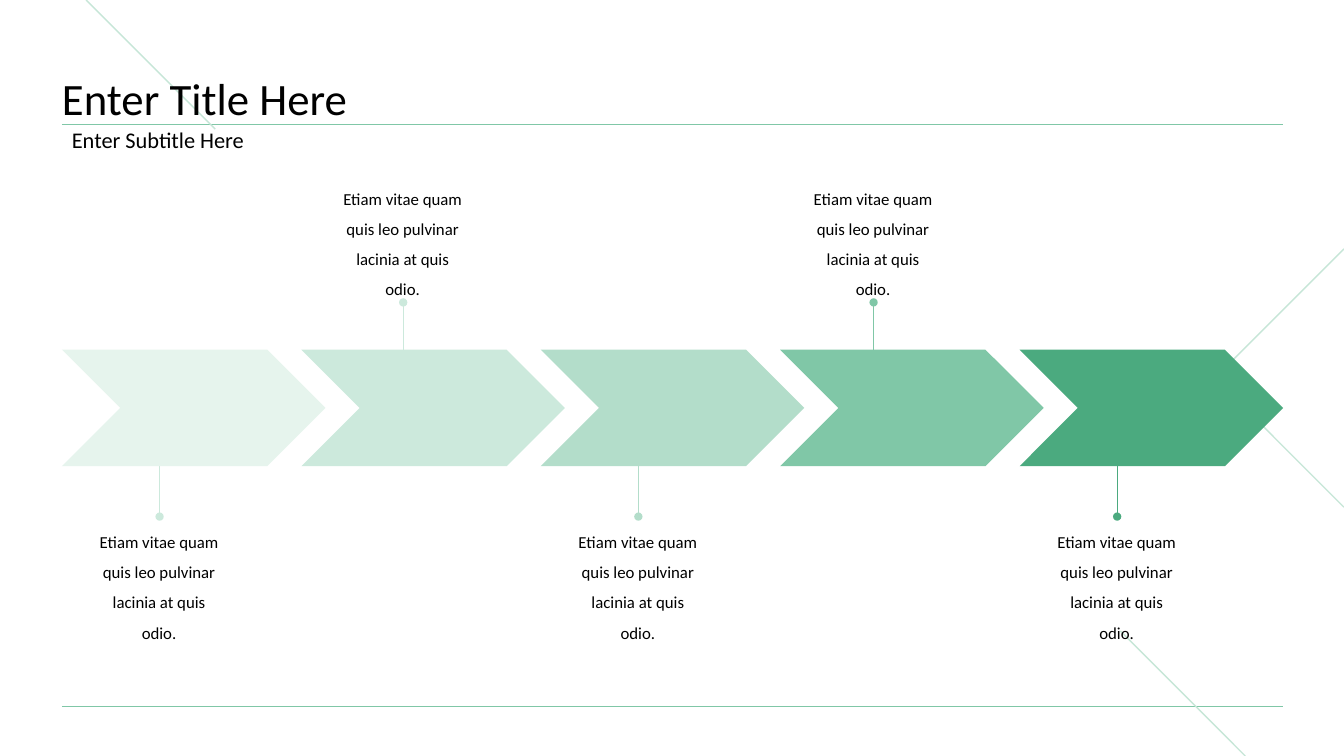
from lxml import etree
from pptx import Presentation
from pptx.dml.color import RGBColor
from pptx.enum.shapes import MSO_CONNECTOR, MSO_SHAPE
from pptx.enum.text import MSO_ANCHOR, MSO_AUTO_SIZE, PP_ALIGN
from pptx.oxml.ns import qn
from pptx.util import Emu, Pt

STRAIGHT = MSO_CONNECTOR.STRAIGHT
CHEVRON = MSO_SHAPE.CHEVRON
TOP, MIDDLE, BOTTOM = MSO_ANCHOR.TOP, MSO_ANCHOR.MIDDLE, MSO_ANCHOR.BOTTOM
GROW = MSO_AUTO_SIZE.SHAPE_TO_FIT_TEXT
LEFT, CENTER = PP_ALIGN.LEFT, PP_ALIGN.CENTER

BLACK = RGBColor(0x00, 0x00, 0x00)
PALE = RGBColor(0xE6, 0xF4, 0xED)
MINT = RGBColor(0xCC, 0xE9, 0xDC)
SAGE = RGBColor(0xB3, 0xDD, 0xCA)
GREEN = RGBColor(0x80, 0xC7, 0xA7)
DEEP = RGBColor(0x4B, 0xAA, 0x7F)
ACCENT = RGBColor(0xC6, 0xE6, 0xD7)

FONT = "Calibri"
PX = 9525
WIDTH, HEIGHT = 1280, 720
MARGIN, RIGHT = 59, 1222
STEP_PITCH, STEP_W, STEP_TOP, STEP_H = 228, 251, 333, 111
NOTE_W, NOTE_H = 133, 123
NOTE = "Etiam vitae quam quis leo pulvinar lacinia at quis odio."

STEPS = [
    (PALE, MINT, 152),
    (MINT, MINT, 384),
    (SAGE, SAGE, 608),
    (GREEN, GREEN, 832),
    (DEEP, DEEP, 1064),
]


def px(*values):
    return [Emu(v * PX) for v in values]


class Deck:
    def __init__(self):
        self.prs = Presentation()
        self.prs.slide_width, self.prs.slide_height = px(WIDTH, HEIGHT)
        self.s = self.prs.slides.add_slide(self.prs.slide_layouts[6])

    def line(self, x1, y1, x2, y2, color, width=0.5, dots=False):
        c = self.s.shapes.add_connector(STRAIGHT, *px(x1, y1, x2, y2))
        c.line.color.rgb = color
        c.line.width = Pt(width)
        if dots:
            ln = c.line._get_or_add_ln()
            for end in ("a:headEnd", "a:tailEnd"):
                etree.SubElement(ln, qn(end), type="oval")
        etree.SubElement(c._element.spPr, qn("a:effectLst"))

    def polyline(self, points, color, width):
        fb = self.s.shapes.build_freeform(*points[0], scale=PX)
        fb.add_line_segments(points[1:], close=False)
        sp = fb.convert_to_shape()
        sp.shadow.inherit = False
        sp.fill.background()
        sp.line.color.rgb = color
        sp.line.width = Pt(width)

    def chevron(self, x, y, w, h, color):
        sp = self.s.shapes.add_shape(CHEVRON, *px(x, y, w, h))
        sp.shadow.inherit = False
        sp.adjustments[0] = 0.5
        sp.fill.solid()
        sp.fill.fore_color.rgb = color
        sp.line.fill.background()

    def text(self, x, y, w, h, text, size, anchor=TOP, align=LEFT,
             spacing=0.9, grow=True, inset=True):
        tf = self.s.shapes.add_textbox(*px(x, y, w, h)).text_frame
        tf.word_wrap = True
        tf.vertical_anchor = anchor
        if grow:
            tf.auto_size = GROW
        if not inset:
            tf.margin_left = tf.margin_right = 0
            tf.margin_top = tf.margin_bottom = 0
        p = tf.paragraphs[0]
        p.text = text
        p.alignment = align
        p.line_spacing = spacing
        r = p.runs[0]
        r.font.name = FONT
        r.font.size = Pt(size)
        r.font.color.rgb = BLACK


def main():
    d = Deck()
    for y in (673, 118):
        d.line(MARGIN, y, RIGHT, y, GREEN)
    d.line(1067, 601, 1186, HEIGHT, ACCENT, 1)
    d.line(82, 0, 205, 123, ACCENT, 1)
    d.polyline([(WIDTH, 237), (1157, 360), (WIDTH, 483)], ACCENT, 1)

    d.text(MARGIN, 42, RIGHT - MARGIN, 77, "Enter Title Here", 32,
           anchor=BOTTOM, grow=False, inset=False)
    d.text(MARGIN, 118, RIGHT - MARGIN, 33, "Enter Subtitle Here", 16,
           anchor=MIDDLE)

    for i, (fill, stem, x) in enumerate(STEPS):
        above = i % 2 == 1
        y1, y2 = (288, 365) if above else (417, 492)
        note_top = y1 - NOTE_H if above else y2
        d.line(x, y1, x, y2, stem, dots=True)
        d.chevron(MARGIN + i * STEP_PITCH, STEP_TOP, STEP_W, STEP_H, fill)
        d.text(x - NOTE_W // 2 - 1, note_top, NOTE_W, NOTE_H, NOTE, 12,
               align=CENTER, spacing=1.5)

    d.prs.save("out.pptx")


if __name__ == "__main__":
    main()
